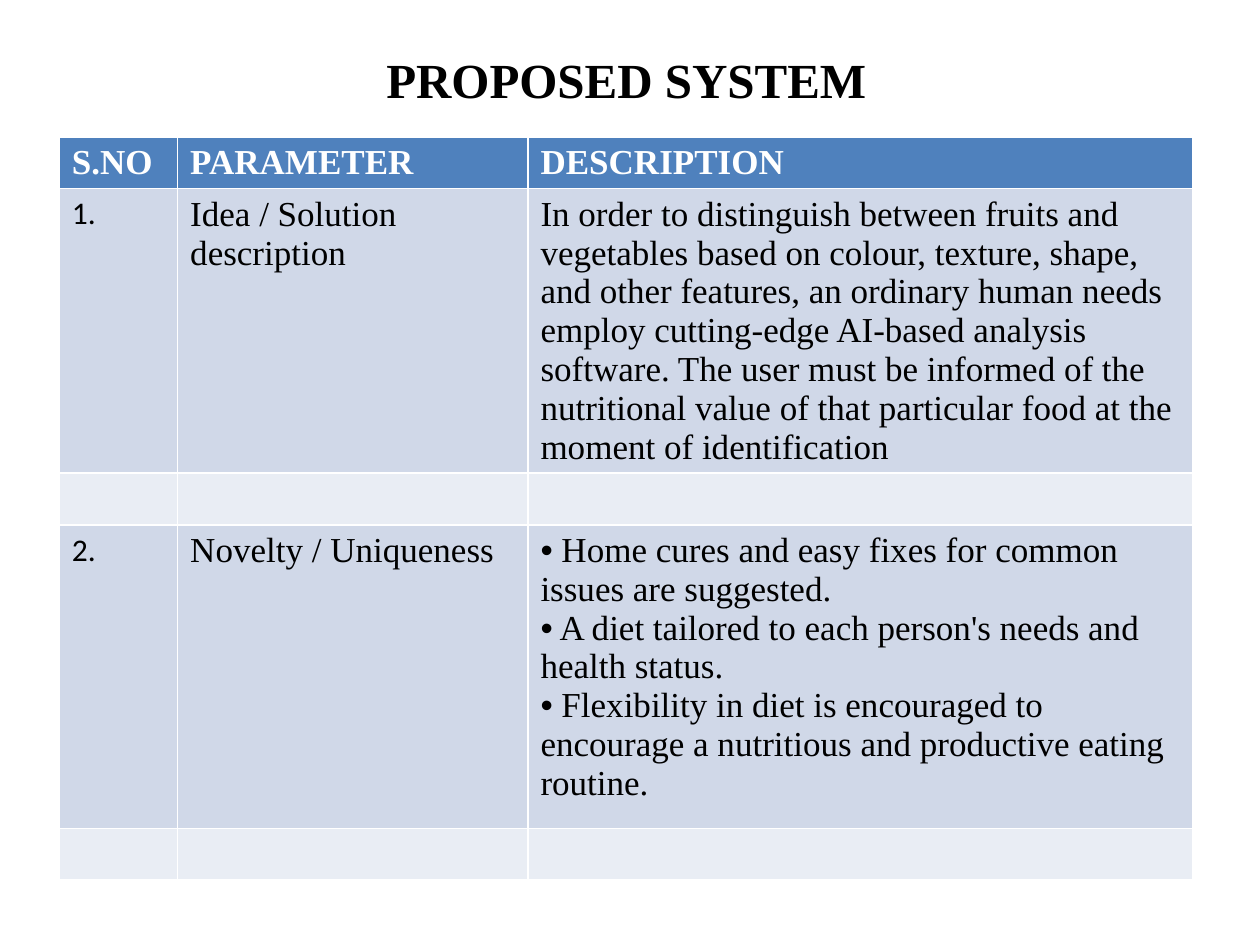
"""Build the proposed system slide: a title above a parameter table."""
import pptx
import pptx.dml.color
import pptx.enum.text
import pptx.oxml.ns
import pptx.util
import lxml.etree

SERIF = "Times New Roman"
SANS = "Calibri"
BLACK, WHITE = "000000", "FFFFFF"
HEADER_FILL = "4F81BD"
BAND_FILLS = ("D0D8E8", "E9EDF4")
COLUMN_WIDTHS = (0.94, 2.78, 5.28)
ROW_HEIGHTS = (0.41, 0.41, 0.41, 2.41, 0.41)
TITLE_BOX = (0.047, 0, 0.9, 0.167)
TABLE_BOX = (0.047, 0.145, 0.9, 0.819)

ROWS = (
    ("S.NO", "PARAMETER", "DESCRIPTION"),
    ("1.", "Idea / Solution description",
     "In order to distinguish between fruits and vegetables based on colour, "
     "texture, shape, and other features, an ordinary human needs employ "
     "cutting-edge AI-based analysis software. The user must be informed of the "
     "nutritional value of that particular food at the moment of identification"),
    ("", "", ""),
    ("2.", "Novelty / Uniqueness",
     (" Home cures and easy fixes for common issues are suggested.",
      " A diet tailored to each person's needs and health status.",
      " Flexibility in diet is encouraged to encourage a nutritious and "
      "productive eating routine.")),
    ("", "", ""),
)


def color(value):
    """Return the colour for a hex string."""
    return pptx.dml.color.RGBColor.from_string(value)


def scale_box(presentation, shares):
    """Turn shares of the slide's size into left, top, width and height."""
    width, height = presentation.slide_width, presentation.slide_height
    return [round(share * side) for share, side in zip(shares, (width, height) * 2)]


def format_runs(paragraph, size, font_name, font_color, bold=False):
    """Give every run of a paragraph the same font."""
    for run in paragraph.runs:
        run.font.size = pptx.util.Pt(size)
        run.font.name = font_name
        run.font.bold = bold
        run.font.color.rgb = color(font_color)


def add_bullet(paragraph):
    """Put a round bullet directly before the paragraph's text."""
    properties = paragraph._p.get_or_add_pPr()
    properties.set("marL", "0")
    properties.set("indent", "0")
    bullet_font = lxml.etree.SubElement(properties, pptx.oxml.ns.qn("a:buFont"))
    bullet_font.set("typeface", "Arial")
    bullet = lxml.etree.SubElement(properties, pptx.oxml.ns.qn("a:buChar"))
    bullet.set("char", "•")


def place_title(slide, box, text):
    """Fill the title placeholder and move it to the box."""
    title = slide.shapes.title
    title.left, title.top, title.width, title.height = box
    title.text_frame.text = text
    title.text_frame.vertical_anchor = pptx.enum.text.MSO_ANCHOR.MIDDLE
    paragraph = title.text_frame.paragraphs[0]
    paragraph.alignment = pptx.enum.text.PP_ALIGN.CENTER
    format_runs(paragraph, 28, SERIF, BLACK, bold=True)


def fill_cell(cell, content, row, column):
    """Write and format one cell; a tuple becomes a bulleted list."""
    is_header = row == 0
    cell.fill.solid()
    cell.fill.fore_color.rgb = color(HEADER_FILL if is_header else BAND_FILLS[(row - 1) % 2])
    is_list = isinstance(content, tuple)
    cell.text_frame.text = "\n".join(content) if is_list else content
    is_number = column == 0 and not is_header
    size, font_name = (18, SANS) if is_number else (20, SERIF)
    for paragraph in cell.text_frame.paragraphs:
        if is_list:
            add_bullet(paragraph)
        format_runs(paragraph, size, font_name, WHITE if is_header else BLACK, is_header)


def place_table(slide, box, rows):
    """Add the parameter table in the box."""
    frame = slide.shapes.add_table(len(rows), len(COLUMN_WIDTHS), *box)
    table = frame.table
    for column, width in zip(table.columns, COLUMN_WIDTHS):
        column.width = pptx.util.Inches(width)
    for row, height in zip(table.rows, ROW_HEIGHTS):
        row.height = pptx.util.Inches(height)
    frame.height = box[3]
    for row, contents in enumerate(rows):
        for column, content in enumerate(contents):
            fill_cell(table.cell(row, column), content, row, column)


def main():
    """Build and save the presentation."""
    presentation = pptx.Presentation()
    presentation.slide_width = pptx.util.Inches(10)
    presentation.slide_height = pptx.util.Inches(7.5)
    slide = presentation.slides.add_slide(presentation.slide_layouts[5])
    place_title(slide, scale_box(presentation, TITLE_BOX), "PROPOSED SYSTEM")
    place_table(slide, scale_box(presentation, TABLE_BOX), ROWS)
    presentation.save("out.pptx")


if __name__ == "__main__":
    main()
